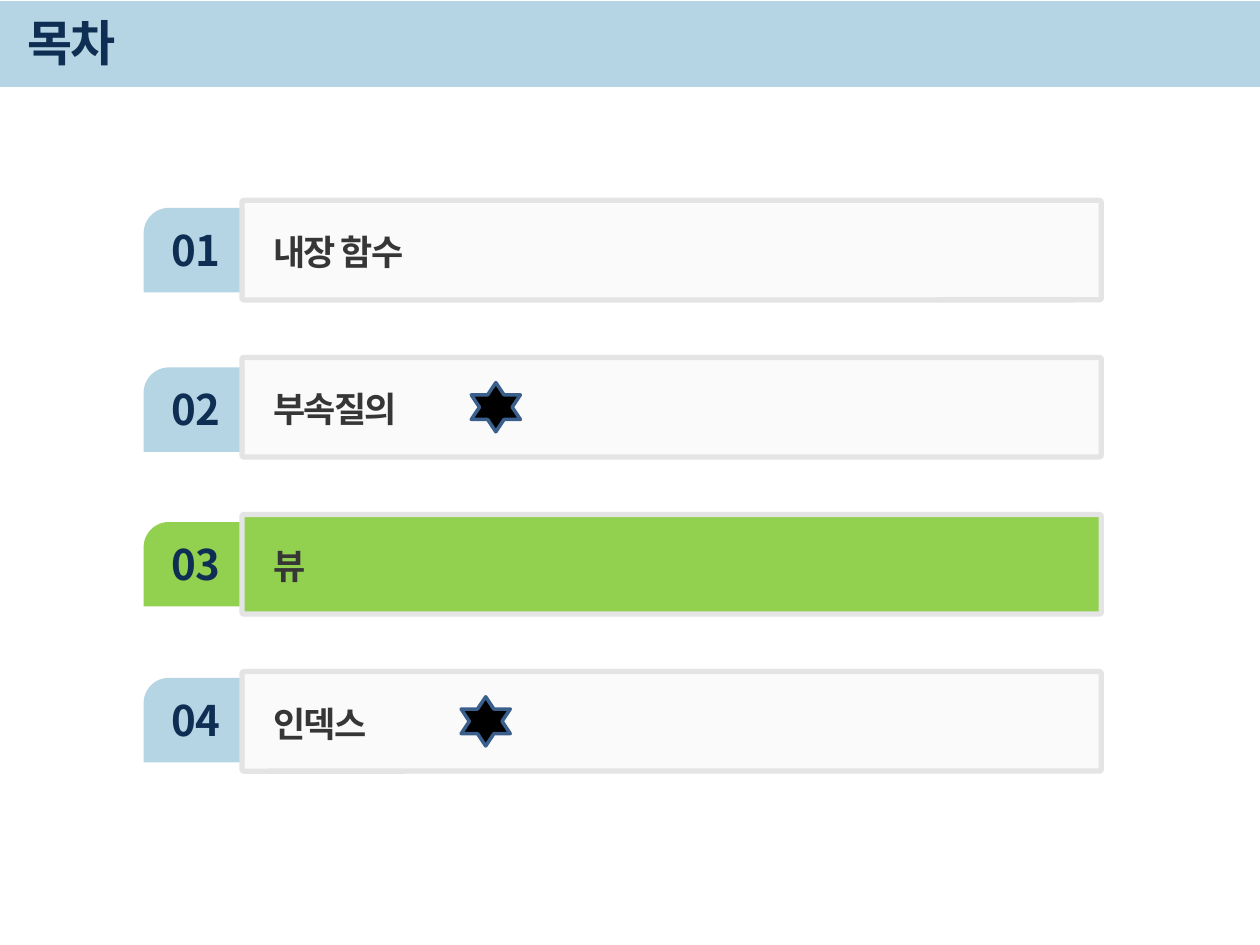
from lxml.etree import SubElement
from pptx import Presentation
from pptx.dml.color import RGBColor
from pptx.enum.shapes import MSO_SHAPE
from pptx.enum.text import MSO_ANCHOR, MSO_AUTO_SIZE, PP_ALIGN
from pptx.oxml.ns import qn
from pptx.util import Inches, Pt

SKY = RGBColor(0xB5, 0xD5, 0xE4)
GREEN = RGBColor(0x92, 0xD0, 0x50)
NAVY = RGBColor(0x0F, 0x2E, 0x53)
CHARCOAL = RGBColor(0x36, 0x36, 0x36)
PALE = RGBColor(0xF2, 0xF2, 0xF2)
BORDER = RGBColor(0xE4, 0xE4, 0xE4)
BLACK = RGBColor(0, 0, 0)
STAR_EDGE = RGBColor(0x3A, 0x5F, 0x8C)
FONT = "Noto Sans CJK KR"

# Agenda grid, in inches
TAB_LEFT, TAB_WIDTH, TAB_HEIGHT = 1.14, 0.8, 0.67
BAR_LEFT, BAR_WIDTH, BAR_HEIGHT = 1.92, 6.82, 0.79
FIRST_TOP, LAST_TOP = 1.59, 5.33
STAR_SIZE = 0.39

# Topic, drop of the number tab below the bar's top, left of the star, current?
AGENDA = [
    ("내장 함수", 0.06, None, False),
    ("부속질의", 0.08, 3.74, False),
    ("뷰", 0.06, None, True),
    ("인덱스", 0.05, 3.66, False),
]

prs = Presentation()
prs.slide_width, prs.slide_height = Inches(10), Inches(7.5)
slide = prs.slides.add_slide(prs.slide_layouts[6])


def add_block(kind, left, top, width, height, fill, edge=None, edge_width=0):
    block = slide.shapes.add_shape(
        kind, Inches(left), Inches(top), Inches(width), Inches(height))
    block.shadow.inherit = False
    block.fill.solid()
    block.fill.fore_color.rgb = fill
    if edge is None:
        block.line.fill.background()
    else:
        block.line.color.rgb = edge
        block.line.width = Pt(edge_width)
    return block


def add_text(text, left, top, width, height, size, color, tight=False):
    """Add a bold one-line text box; tight draws the letters 1 pt closer."""
    box = slide.shapes.add_textbox(
        Inches(left), Inches(top), Inches(width), Inches(height))
    box.text_frame.word_wrap = True
    paragraph = box.text_frame.paragraphs[0]
    run = paragraph.add_run()
    run.text = text
    paragraph.font.size = Pt(size)
    paragraph.font.bold = True
    paragraph.font.name = FONT
    paragraph.font.color.rgb = color
    run_properties = run._r.get_or_add_rPr()
    SubElement(run_properties, qn("a:ea")).set("typeface", FONT)
    if tight:
        run_properties.set("spc", "-100")
    return box.text_frame


add_block(MSO_SHAPE.RECTANGLE, 0, 0.01, 10, 0.68, SKY)
heading = add_text("목차", 0.12, 0.07, 8.51, 0.52, 28, NAVY, tight=True)
heading.vertical_anchor = MSO_ANCHOR.MIDDLE

row_pitch = (LAST_TOP - FIRST_TOP) / (len(AGENDA) - 1)
for row, (topic, tab_drop, star_left, current) in enumerate(AGENDA):
    bar_top = FIRST_TOP + row * row_pitch
    tab_top = bar_top + tab_drop

    tab = add_block(MSO_SHAPE.SNIP_ROUND_RECTANGLE, TAB_LEFT, tab_top,
                    TAB_WIDTH, TAB_HEIGHT, GREEN if current else SKY)
    tab.adjustments[0], tab.adjustments[1] = 0.3, 0
    number = add_text(f"{row + 1:02}", 1.26, tab_top + 0.08, 0.59, 0.5, 24, NAVY)
    number.word_wrap = False
    number.auto_size = MSO_AUTO_SIZE.SHAPE_TO_FIT_TEXT
    number.paragraphs[0].alignment = PP_ALIGN.CENTER

    bar = add_block(MSO_SHAPE.ROUNDED_RECTANGLE, BAR_LEFT, bar_top, BAR_WIDTH,
                    BAR_HEIGHT, GREEN if current else PALE, BORDER, 3)
    bar.adjustments[0] = 0.02
    if not current:
        bar_color = bar._element.spPr.find(qn("a:solidFill"))[0]
        SubElement(bar_color, qn("a:alpha")).set("val", "33000")

    label = add_text(topic, 2.07, bar_top + 0.16, 5.28, 0.44, 20, CHARCOAL, tight=True)
    label.auto_size = MSO_AUTO_SIZE.SHAPE_TO_FIT_TEXT
    label.paragraphs[0].line_spacing = 1.1
    label.paragraphs[0].space_before = Pt(18)
    label.paragraphs[0].space_after = Pt(3)

    if star_left is not None:
        add_block(MSO_SHAPE.STAR_6_POINT, star_left,
                  bar_top + (BAR_HEIGHT - STAR_SIZE) / 2,
                  STAR_SIZE, STAR_SIZE, BLACK, STAR_EDGE, 2)

prs.save("out.pptx")
